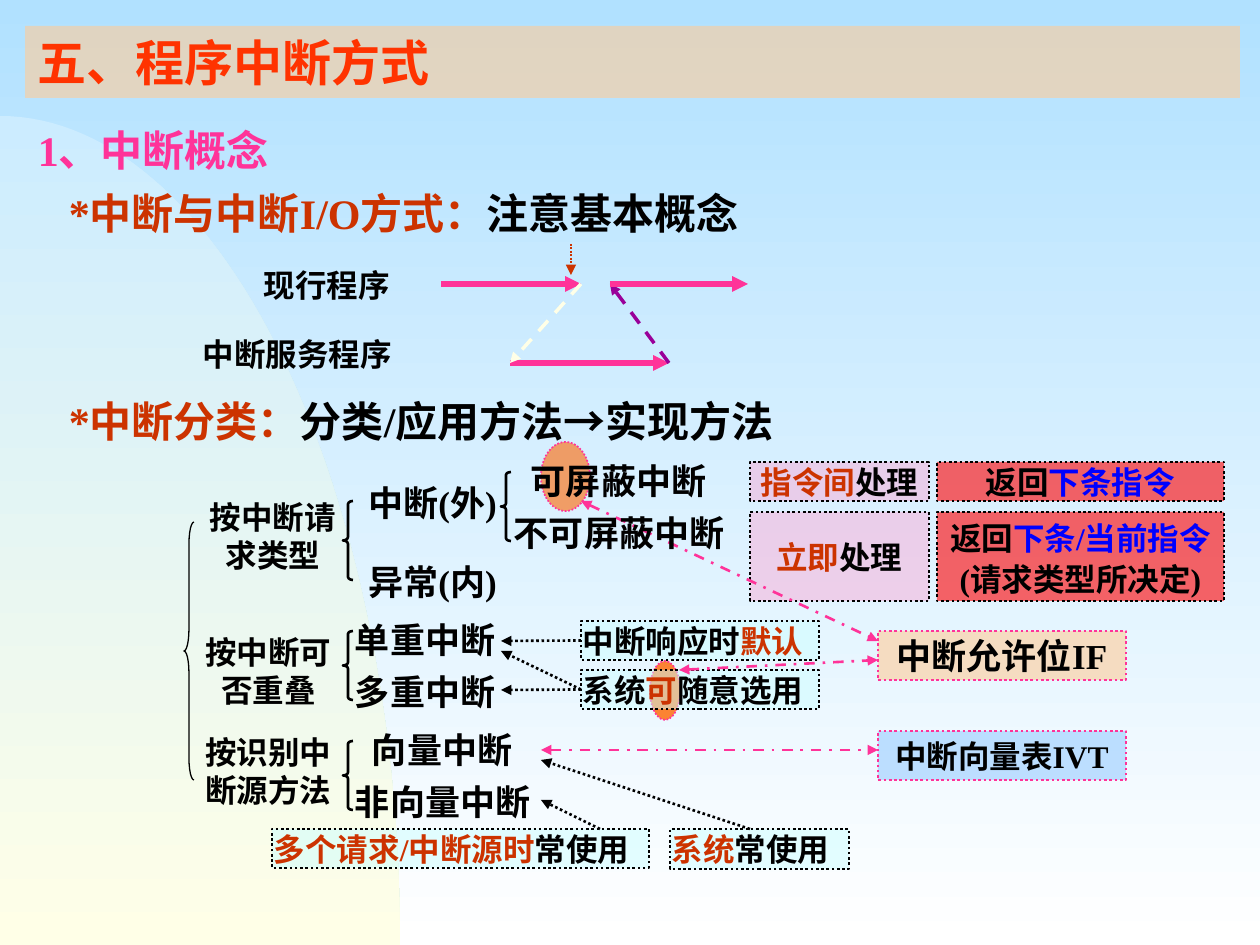
from math import cos, pi, sin
from lxml import etree
from pptx import Presentation
from pptx.dml.color import RGBColor
from pptx.enum import dml, shapes, text
from pptx.oxml import ns
from pptx.util import Pt

PX = 914400 // 126
FONT = "Times New Roman"
BLACK, BLUE = RGBColor(0, 0, 0), RGBColor(0, 0, 255)
RED, BRICK = RGBColor(255, 0, 0), RGBColor(0xCC, 0x33, 0)
TITLE_RED, ORANGE = RGBColor(0xFF, 0x33, 0), RGBColor(0xFF, 0x66, 0)
PINK, ROSE = RGBColor(0xFF, 0x33, 0x99), RGBColor(0xFF, 0x99, 0xCC)
PEACH, SKY = RGBColor(0xFF, 0xCC, 0x99), RGBColor(0x99, 0xCC, 0xFF)
AQUA, PURPLE = RGBColor(0xCC, 0xFF, 0xFF), RGBColor(0x99, 0, 0x99)
CREAM, WHITE = RGBColor(0xFF, 0xFF, 0xE7), RGBColor(255, 255, 255)
SKY_TOP, CURVE_TOP = RGBColor(0xB1, 0xE1, 0xFF), RGBColor(0xCC, 0xEC, 0xFF)
LEFT, CENTER = text.PP_ALIGN.LEFT, text.PP_ALIGN.CENTER
TOP, MIDDLE = text.MSO_ANCHOR.TOP, text.MSO_ANCHOR.MIDDLE
DOT, DASH, DASH_DOT = (dml.MSO_LINE.ROUND_DOT, dml.MSO_LINE.DASH,
                       dml.MSO_LINE.DASH_DOT)

# Content: a paragraph is a list of (words, colour) runs
TITLE = [[("五、程序中断方式", TITLE_RED)]]
CONCEPTS = [[("1、中断概念", PINK)],
            [("*中断与中断I/O方式：", BRICK), ("注意基本概念", BLACK)]]
CLASSES = [[("*中断分类：", BRICK), ("分类/应用方法→实现方法", BLACK)]]

# Ellipses: place, opacity %
HIGHLIGHTS = [((541, 442, 49, 69), 60), ((650, 661, 30, 59), 80)]

# Boxes: key, place, fill, opacity %, outline, size, alignment, runs
BOXES = [
    ("between", (750, 462, 179, 39), ROSE, 40, BLACK, 18, CENTER,
     [("指令间", BRICK), ("处理", BLACK)]),
    ("next", (937, 462, 287, 39), RED, 60, BLACK, 18, CENTER,
     [("返回", BLACK), ("下条指令", BLUE)]),
    ("at once", (750, 512, 179, 89), ROSE, 40, BLACK, 18, CENTER,
     [("立即", BRICK), ("处理", BLACK)]),
    ("current", (937, 512, 287, 89), RED, 60, BLACK, 18, CENTER,
     [("返回", BLACK), ("下条/当前指令", BLUE), ("(请求类型所决定)", BLACK)]),
    ("system", (670, 829, 179, 40), AQUA, 49, BLACK, 18, LEFT,
     [("系统", BRICK), ("常使用", BLACK)]),
    ("requests", (272, 829, 377, 39), AQUA, 49, BLACK, 18, LEFT,
     [("多个请求/中断源时", BRICK), ("常使用", BLACK)]),
    ("IF", (878, 631, 248, 49), PEACH, 60, PINK, 20, CENTER,
     [("中断允许位IF", BLACK)]),
    ("IVT", (878, 731, 248, 49), SKY, 60, PINK, 18, CENTER,
     [("中断向量表IVT", BLACK)]),
    ("optional", (581, 670, 238, 39), AQUA, 49, BLACK, 18, LEFT,
     [("系统", BLACK), ("可", BRICK), ("随意选用", BLACK)]),
    ("default", (581, 621, 238, 39), AQUA, 49, BLACK, 18, LEFT,
     [("中断响应时", BLACK), ("默认", BRICK)]),
]

# Arrows: start (a key means the left side of that box), end, colour,
# width, dash, both ends pointed
ARROWS = [
    ((441, 284), (581, 284), PINK, 3, None, False),
    ((510, 363), (669, 363), PINK, 3, None, False),
    ((581, 284), (510, 363), CREAM, 2, DASH, False),
    ((669, 363), (610, 284), PURPLE, 2, DASH, False),
    ((610, 284), (748, 284), PINK, 3, None, False),
    ((571, 244), (571, 275), BRICK, 1, DOT, False),
    ((750, 829), (541, 760), BLACK, 1.5, DOT, False),
    ((600, 829), (541, 800), BLACK, 1.5, DOT, False),
    ((581, 501), (878, 641), PINK, 1.5, DASH_DOT, True),
    ((541, 750), (878, 750), PINK, 1.5, DASH_DOT, True),
    ((679, 670), (878, 660), PINK, 1.5, DASH_DOT, True),
    ("optional", (501, 690), BLACK, 1.5, DOT, False),
    ("default", (501, 641), BLACK, 1.5, DOT, False),
    ("optional", (501, 651), BLACK, 1.5, DOT, False),
]

# Braces: place, line width, curl as a share of the height
BRACES = [((501, 472, 10, 69), 1.5, 1 / 24), ((343, 501, 10, 79), 1.5, 1 / 24),
          ((343, 741, 10, 69), 1.5, 1 / 24), ((343, 631, 10, 69), 1.5, 1 / 24),
          ((184, 522, 10, 258), 0.75, 1 / 12)]

# Labels: place, size, alignment, lines, indent of the first line
LABELS = [
    ((262, 265, 139, 40), 18, LEFT, ["现行程序"], 0),
    ((193, 334, 208, 39), 18, CENTER, ["中断服务程序"], 0),
    ((203, 501, 140, 69), 18, CENTER, ["按中断请求类型"], 0),
    ((194, 631, 149, 79), 18, CENTER, ["按中断可否重叠"], 0),
    ((194, 731, 149, 79), 18, CENTER, ["按识别中断源方法"], 0),
    ((353, 483, 159, 39), 20, CENTER, ["中断(外)"], 0),
    ((353, 562, 159, 39), 20, CENTER, ["异常(内)"], 0),
    ((512, 462, 228, 89), 20, LEFT, ["可屏蔽中断", "不可屏蔽中断"], 17),
    ((353, 621, 198, 89), 20, LEFT, ["单重中断", "多重中断"], 0),
    ((353, 731, 198, 89), 20, LEFT, ["向量中断", "非向量中断"], 17),
]


def px(values):
    return [round(value * PX) for value in values]


def write(shape, paragraphs, size, align=LEFT, anchor=MIDDLE, inset=(2, 1),
          spacing=(1,), indents=(0,)):
    """Fill a shape; the last spacing and indent serve all later paragraphs."""
    frame = shape.text_frame
    side, edge = px(inset)
    settings = dict(word_wrap=True, auto_size=text.MSO_AUTO_SIZE.NONE,
                    vertical_anchor=anchor, margin_left=side,
                    margin_right=side, margin_top=edge, margin_bottom=edge)
    for name, value in settings.items():
        setattr(frame, name, value)
    for i, runs in enumerate(paragraphs):
        line = frame.add_paragraph() if i else frame.paragraphs[0]
        line.alignment = align
        line.line_spacing = float(spacing[min(i, len(spacing) - 1)])
        indent = indents[min(i, len(indents) - 1)]
        line._p.get_or_add_pPr().set("marL", str(indent * PX))
        for words, color in runs:
            run = line.add_run()
            run.text = words
            for name, value in dict(name=FONT, size=Pt(size), bold=True).items():
                setattr(run.font, name, value)
            run.font.color.rgb = color


def paint(shape, color, opacity):
    shape.fill.solid()
    shape.fill.fore_color.rgb = color
    srgb = shape.fill._xPr.find(".//" + ns.qn("a:srgbClr"))
    etree.SubElement(srgb, ns.qn("a:alpha"), val=str(opacity * 1000))


def shade(fill, top, bottom):
    fill.gradient()
    fill.gradient_angle = 270
    for stop, color in zip(fill.gradient_stops, (top, bottom)):
        stop.color.rgb = color


def outline(line, color, width, dash=None):
    line.color.rgb = color
    line.width = Pt(width)
    if dash:
        line.dash_style = dash


def add_shape(kind, place):
    shape = slide.shapes.add_shape(kind, *px(place))
    shape.shadow.inherit = False
    return shape


prs = Presentation()
prs.slide_width, prs.slide_height = px((1260, 945))
slide = prs.slides.add_slide(prs.slide_layouts[5])

# Background and quarter-ellipse curve
shade(slide.background.fill, SKY_TOP, WHITE)
steps = 60
arc = [px((400 * sin(pi / 2 * i / steps), 945 - 829 * cos(pi / 2 * i / steps)))
       for i in range(steps + 1)]
builder = slide.shapes.build_freeform(*arc[0])
builder.add_line_segments(arc[1:] + [px((0, 945))], close=True)
curve = builder.convert_to_shape()
curve.shadow.inherit = False
shade(curve.fill, CURVE_TOP, CREAM)
curve.line.fill.background()

# Title and headings
title = slide.shapes.title
title.left, title.top, title.width, title.height = px((25, 26, 1215, 72))
paint(title, PEACH, 60)
write(title, TITLE, 28, anchor=TOP, inset=(13, 6))
for place, paragraphs, indents in [((25, 106, 1215, 139), CONCEPTS, (0, 31)),
                                   ((25, 377, 1215, 76), CLASSES, (31,))]:
    write(slide.shapes.add_textbox(*px(place)), paragraphs, 24, anchor=TOP,
          inset=(13, 6), spacing=(1.25,), indents=indents)

# Highlights and boxes
for place, opacity in HIGHLIGHTS:
    highlight = add_shape(shapes.MSO_SHAPE.OVAL, place)
    paint(highlight, ORANGE, opacity)
    outline(highlight.line, PINK, 1, DOT)
boxes = {}
for key, place, color, opacity, edge, size, align, runs in BOXES:
    box = boxes[key] = add_shape(shapes.MSO_SHAPE.RECTANGLE, place)
    paint(box, color, opacity)
    outline(box.line, edge, 1.5, DOT)
    write(box, [runs], size, align, spacing=(1.1 if key == "current" else 1,))

# Arrows
for start, end, color, width, dash, both in ARROWS:
    first = (0, 0) if start in boxes else start
    arrow = slide.shapes.add_connector(shapes.MSO_CONNECTOR.STRAIGHT,
                                       *px(first + end))
    if start in boxes:
        arrow.begin_connect(boxes[start], 1)
    outline(arrow.line, color, width, dash)
    line = arrow.line._get_or_add_ln()
    for tip in ("a:headEnd", "a:tailEnd") if both else ("a:tailEnd",):
        etree.SubElement(line, ns.qn(tip), type="triangle")
    etree.SubElement(arrow._element.spPr, ns.qn("a:effectLst"))

# Braces and labels
for place, width, curl in BRACES:
    brace = add_shape(shapes.MSO_SHAPE.LEFT_BRACE, place)
    brace.adjustments[0] = curl * place[3] / place[2]
    brace.fill.background()
    outline(brace.line, BLACK, width)
for place, size, align, lines, indent in LABELS:
    write(slide.shapes.add_textbox(*px(place)), [[(s, BLACK)] for s in lines],
          size, align, spacing=(1, 1.25), indents=(indent, 0))

prs.save("out.pptx")
